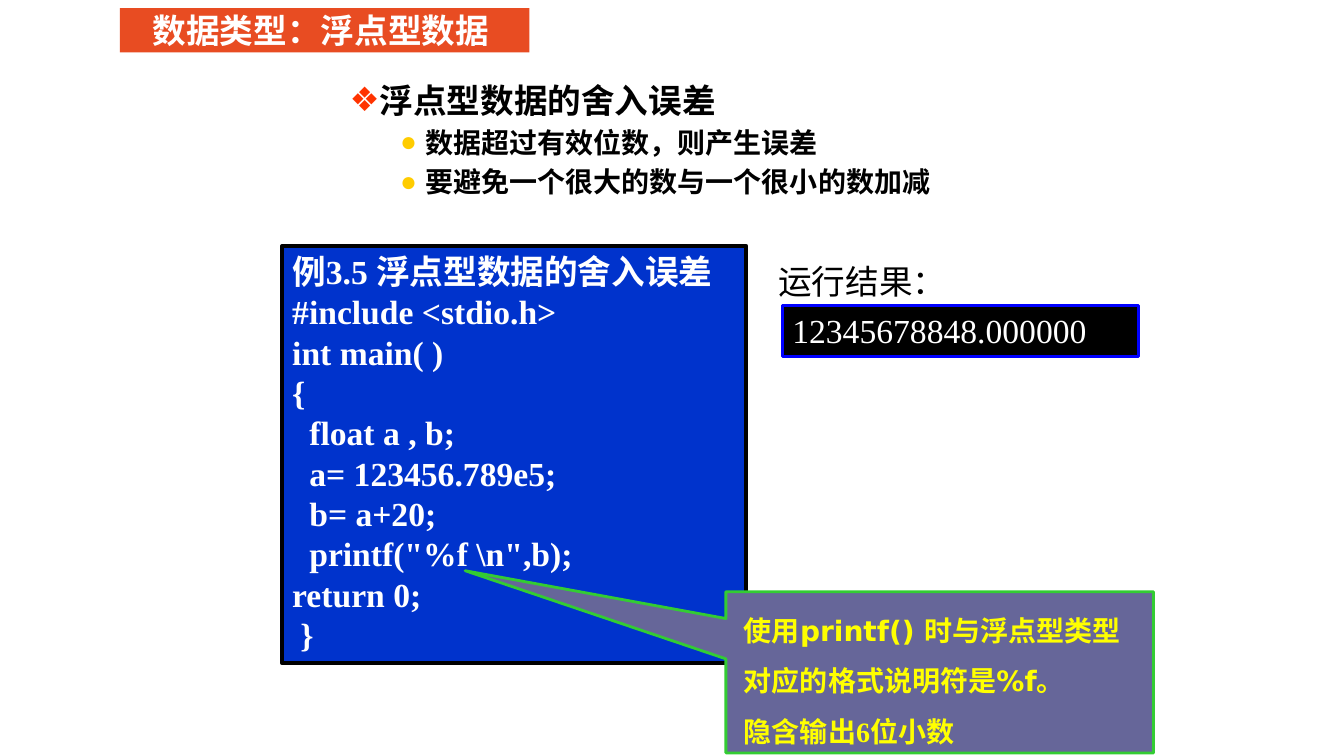
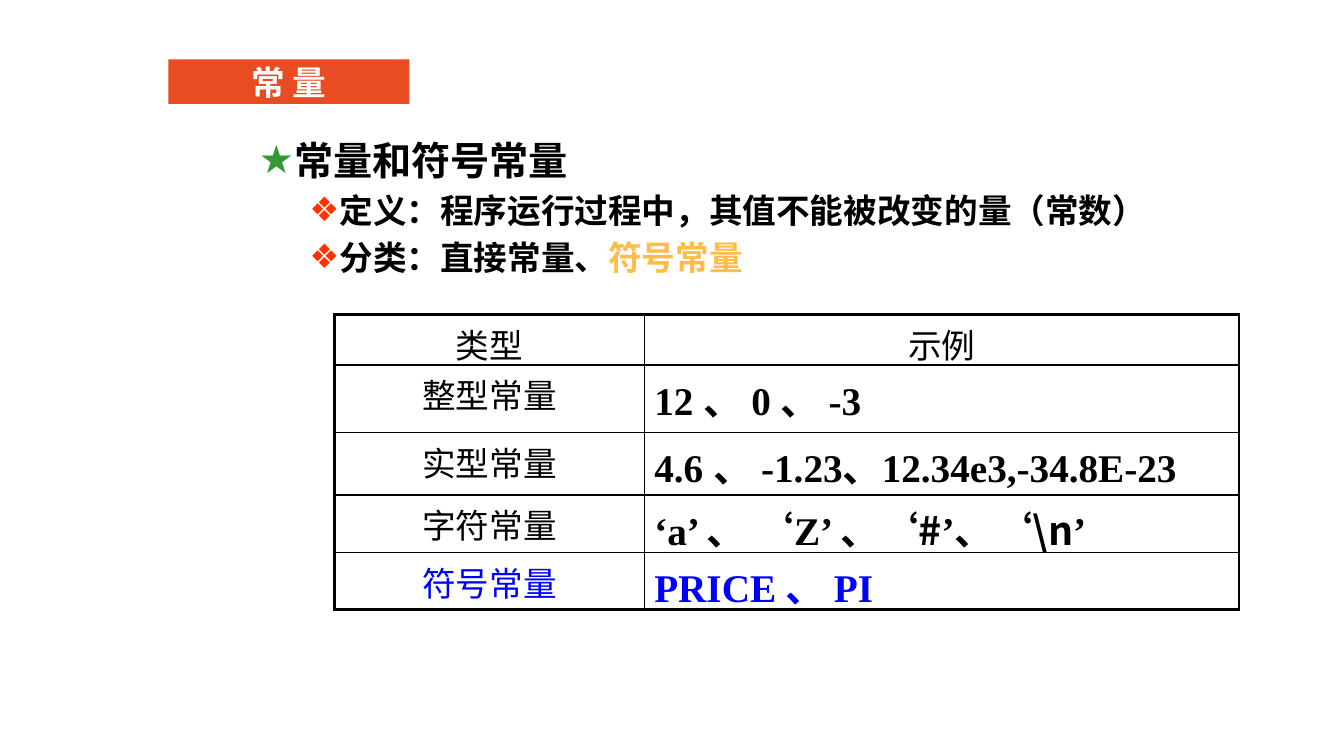
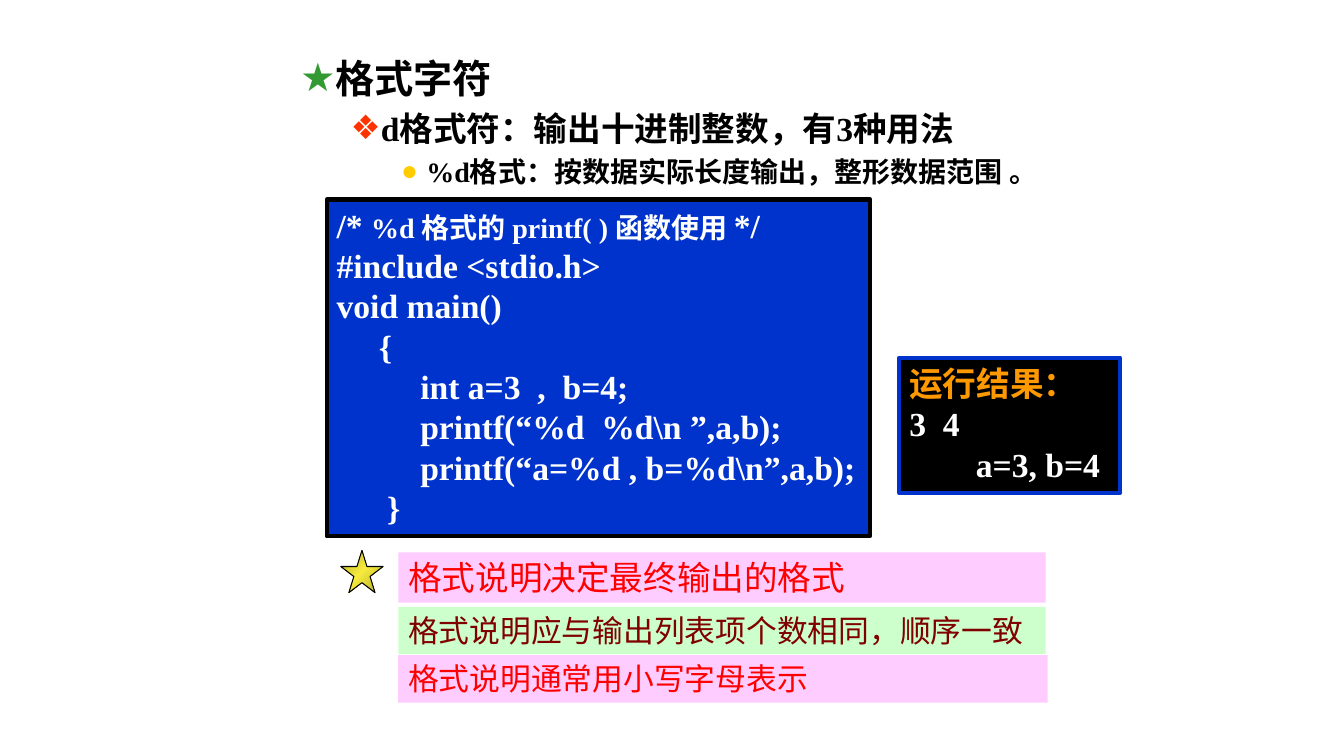
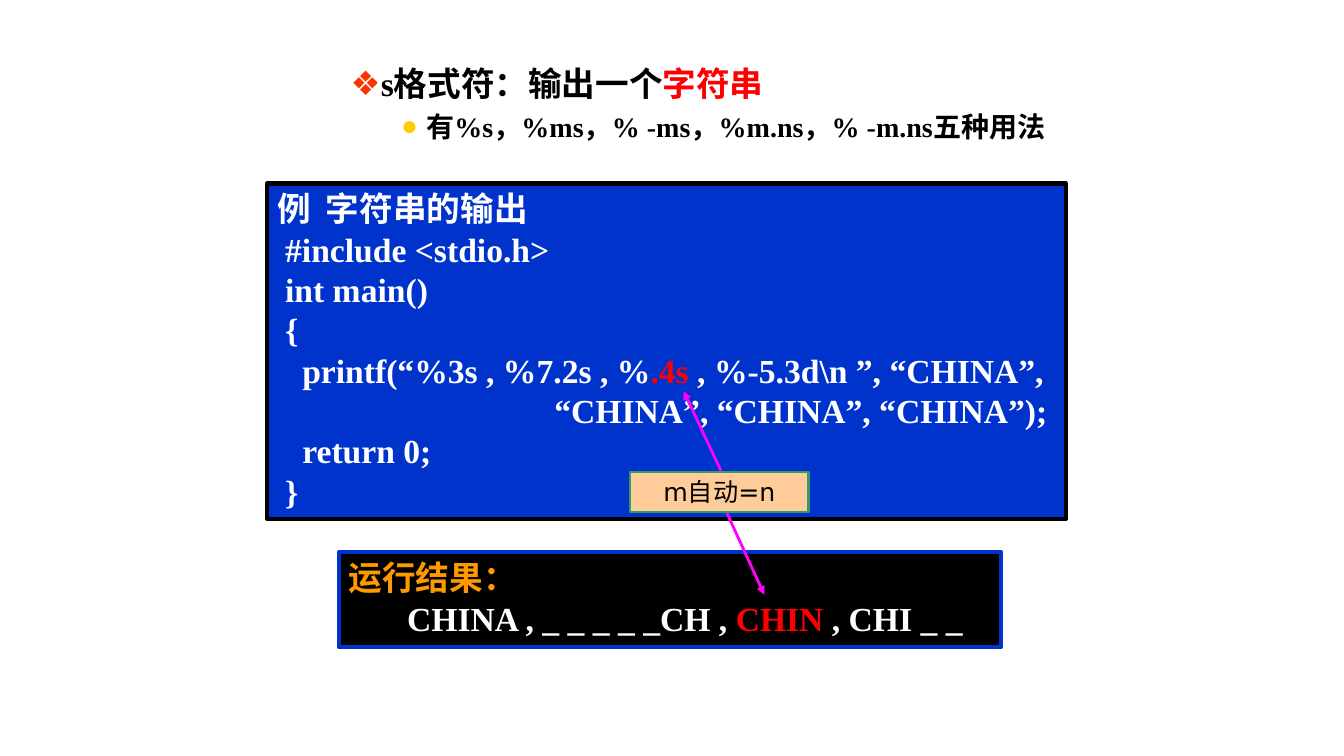
from dataclasses import dataclass, field
from lxml.etree import SubElement as Sub
from pptx import Presentation
from pptx.dml.color import RGBColor
from pptx.enum.shapes import MSO_CONNECTOR as Link, MSO_SHAPE as Kind
from pptx.enum.text import MSO_ANCHOR as Anchor, PP_ALIGN as Align
from pptx.oxml.ns import qn
from pptx.util import Pt

SCALE = 9144
SERIF, SANS, PLAIN, HAN = "Times New Roman", "DejaVu Sans", "Arial", "Noto Sans CJK SC"
BLACK, WHITE, RED, BLUE = "000000", "FFFFFF", "FF0000", "0033CC"
ORANGE, AMBER, PINK = "E84C22", "FF9900", "FFCCFF"
MARKS = {1: ("★", "339933", 81, 31, 28),
         2: ("❖", "FF3300", 125, 25, 24),
         3: ("●", "FFCC00", 175, 25, 20)}


def px(n):
    return int(n * SCALE)


def rgb(code):
    return RGBColor.from_string(code)


@dataclass
class Line:
    runs: object
    left: int = 0
    level: int = 0
    look: dict = field(default_factory=dict)


class Deck:
    """Holds the shared style and the current slide."""

    def __init__(self):
        self.show = Presentation()
        self.show.slide_width, self.show.slide_height = px(1333), px(750)
        self.slide = None

    def page(self, title=None, box=None):
        self.slide = self.show.slides.add_slide(self.show.slide_layouts[5 if title else 6])
        if title:
            head = self.slide.shapes.title
            self.place(head, box)
            head.fill.solid()
            head.fill.fore_color.rgb = rgb(ORANGE)
            self.put(head.text_frame, [title], 0, Anchor.MIDDLE, Align.CENTER,
                     font=HAN, color=WHITE, bold=True)

    def place(self, shape, box):
        shape.left, shape.top, shape.width, shape.height = map(px, box)

    def style(self, run, size=24, font=SERIF, color=BLACK, bold=False):
        run.font.size, run.font.name, run.font.bold = Pt(size), font, bold
        run.font.color.rgb = rgb(color)
        Sub(run.font._element, qn("a:ea"), typeface=HAN)

    def mark(self, para, level):
        sign, color, left, hang, size = MARKS[level]
        para.level = level
        para.space_before = Pt(size / 5)
        props = para._p.get_or_add_pPr()
        props.set("marL", str(px(left)))
        props.set("indent", str(-px(hang)))
        Sub(Sub(props, qn("a:buClr")), qn("a:srgbClr"), val=color)
        Sub(props, qn("a:buFont"), typeface=PLAIN)
        Sub(props, qn("a:buChar"), char=sign)
        return size

    def put(self, frame, lines, pad=1, anchor=Anchor.TOP, align=Align.LEFT,
            space=None, before=None, **look):
        frame.word_wrap, frame.vertical_anchor = True, anchor
        frame.margin_left = frame.margin_right = px(10 * pad)
        frame.margin_top = frame.margin_bottom = px(5 * pad)
        for i, line in enumerate(lines):
            line = line if isinstance(line, Line) else Line(line)
            para = frame.add_paragraph() if i else frame.paragraphs[0]
            para.alignment = align
            para.line_spacing, para.space_before = space, before
            base = {**look, **line.look}
            if line.left:
                para._p.get_or_add_pPr().set("marL", str(px(line.left)))
            if line.level:
                base["size"] = self.mark(para, line.level)
            runs = [(line.runs, {})] if isinstance(line.runs, str) else line.runs
            for text, extra in runs:
                run = para.add_run()
                run.text = text
                self.style(run, **{**base, **extra})

    def text(self, box, lines, **look):
        item = self.slide.shapes.add_textbox(*map(px, box))
        self.put(item.text_frame, lines, **look)

    def points(self, box, *lines):
        self.text(box, lines, bold=True)

    def shape(self, box, fill, lines=(), edge=None, width=3, kind=Kind.RECTANGLE, **look):
        item = self.slide.shapes.add_shape(kind, *map(px, box))
        item.shadow.inherit = False
        item.fill.solid()
        item.fill.fore_color.rgb = rgb(fill)
        if edge:
            item.line.color.rgb = rgb(edge)
            item.line.width = Pt(width)
        else:
            item.line.fill.background()
        self.put(item.text_frame, lines, **look)
        return item

    def code(self, box, *lines):
        self.shape(box, BLUE, lines, BLACK, color=WHITE, bold=True)

    def result(self, box, *lines):
        head = Line("运行结果：", look={"color": AMBER})
        self.shape(box, BLACK, [head, *lines], BLUE, color=WHITE, bold=True)

    def star(self, box, dark, light):
        item = self.shape(box, dark, edge=BLACK, width=0.75, kind=Kind.STAR_5_POINT)
        item.fill.gradient()
        item.fill.gradient_angle = 315
        stops = item._element.spPr.find(".//" + qn("a:gsLst"))
        stops.clear()
        for pos, color in ((0, dark), (50, light), (100, dark)):
            stop = Sub(stops, qn("a:gs"), pos=str(pos * 1000))
            Sub(stop, qn("a:srgbClr"), val=color)

    def arrow(self, start, end, color):
        item = self.slide.shapes.add_connector(Link.STRAIGHT, *map(px, start + end))
        item.line.color.rgb = rgb(color)
        item.line.width = Pt(2)
        props = item._element.spPr
        Sub(props.find(qn("a:ln")), qn("a:tailEnd"), type="triangle")
        Sub(props, qn("a:effectLst"))

    def border(self, cell, sides):
        props = cell._tc.get_or_add_tcPr()
        for i, (side, thick) in enumerate(sides.items()):
            edge = Sub(props, qn("a:ln" + side), w=str(Pt(2.25 if thick else 1)))
            Sub(Sub(edge, qn("a:solidFill")), qn("a:srgbClr"), val=BLACK)
            props.insert(i, edge)

    def table(self, box, cols, rows, data):
        grid = self.slide.shapes.add_table(len(rows), len(cols), *map(px, box)).table
        grid.first_row = grid.horz_banding = False
        for col, wide in zip(grid.columns, cols):
            col.width = px(wide)
        for r, (high, texts) in enumerate(zip(rows, data)):
            grid.rows[r].height = px(high)
            for c, text in enumerate(texts):
                cell = grid.cell(r, c)
                cell.fill.background()
                self.border(cell, {"L": c == 0, "R": c == len(cols) - 1,
                                   "T": r == 0, "B": r == len(rows) - 1})
                big = r > 0 and c > 0
                size = 28 if big else 24
                self.put(cell.text_frame, [text], before=Pt(size / 5), size=size, bold=big,
                         align=Align.LEFT if big else Align.CENTER,
                         color="0000FF" if r == len(rows) - 1 else BLACK)


def floats(deck):
    deck.page("数据类型：浮点型数据 ", (119, 8, 406, 44))
    deck.points((237, 74, 850, 128),
                Line("浮点型数据的舍入误差", level=2, look={"font": PLAIN}),
                Line("数据超过有效位数，则产生误差", level=3),
                Line("要避免一个很大的数与一个很小的数加减", level=3))
    deck.code((280, 244, 460, 414),
              [("例3.5 ", {}), ("浮点型数据的舍入误差", {"font": HAN})],
              "#include <stdio.h>", "int main( )", "{",
              Line("float a , b;", 17), Line("a= 123456.789e5;", 17),
              Line("b= a+20;", 17), Line("printf(\"%f \\n\",b);", 17),
              "return 0;", Line("}", 8))
    deck.shape((776, 303, 353, 51), BLACK, ["12345678848.000000"], "0000FF", 2.25, color=WHITE)
    deck.text((740, 254, 212, 50), [Line("运行结果：", 22)])
    note = deck.shape((720, 587, 424, 160), "666699", [
        Line("使用printf() 时与浮点型类型对应的格式说明符是%f。", 8),
        Line([("隐含输出", {"font": HAN}), ("6", {"font": SERIF}), ("位小数", {"font": HAN})], 8),
    ], "33CC33", 2, Kind.RECTANGULAR_CALLOUT, space=1.5,
        size=20, font=SANS, color="FFFF00", bold=True)
    note.adjustments[0], note.adjustments[1] = -1.11, -0.63


def consts(deck):
    deck.page("常 量", (167, 59, 239, 44))
    deck.points((197, 130, 952, 153),
                Line("常量和符号常量", level=1, look={"font": HAN}),
                Line("定义：程序运行过程中，其值不能被改变的量（常数）", level=2, look={"font": HAN}),
                Line([("分类：直接常量、", {}), ("符号常量", {"color": "FFBD47"})],
                     level=2, look={"font": HAN}))
    chars = [("‘a’ 、 ‘Z’ 、‘", {}), ("#", {"font": HAN}), ("’、‘", {}),
             ("\\n", {"font": HAN}), ("’", {})]
    deck.table((332, 312, 897, 293), (307, 590), (50, 67, 62, 57, 57), [
        ("类型", "示例"),
        ("整型常量", "12 、 0 、 -3"),
        ("实型常量", "4.6 、 -1.23、12.34e3,-34.8E-23"),
        ("字符常量", chars),
        ("符号常量", "PRICE 、 PI")])


def digits(deck):
    deck.page()
    deck.points((238, 49, 889, 143),
                Line("格式字符", level=1),
                Line("d格式符：输出十进制整数，有3种用法", level=2),
                Line("%d格式：按数据实际长度输出，整形数据范围 。", level=3))
    deck.code((324, 198, 539, 334),
              [("/* ", {}), ("%d 格式的 printf( ) 函数使用 ", {"size": 20}), ("*/", {})],
              "#include <stdio.h>", "void main()", Line("{", 42),
              Line("int a=3  ,  b=4;", 83), Line("printf(“%d  %d\\n ”,a,b);", 83),
              Line("printf(“a=%d , b=%d\\n”,a,b);", 83), Line("}", 50))
    deck.result((892, 355, 219, 134), "3  4", Line("a=3, b=4", 66))
    for box, fill, color, size, text in (
            ((395, 548, 642, 50), PINK, RED, 24, "格式说明决定最终输出的格式"),
            ((395, 602, 642, 47), "CCFFCC", "800000", 22, "格式说明应与输出列表项个数相同，顺序一致"),
            ((395, 650, 644, 47), PINK, RED, 22, "格式说明通常用小写字母表示")):
        deck.shape(box, fill, [text], size=size, color=color, font=HAN)
    deck.star((338, 546, 42, 42), "B1A82C", "F8EB3E")


def strings(deck):
    deck.page()
    deck.points((238, 58, 849, 93),
                Line([("s格式符：输出一个", {}), ("字符串", {"color": RED})], level=2),
                Line("有%s，%ms，% -ms，%m.ns，% -m.ns五种用法", level=3))
    deck.code((265, 182, 792, 333),
              "例  字符串的输出", Line("#include <stdio.h>", 8), Line("int main()", 8), Line("{", 8),
              Line([("printf(“%3s , %7.2s , %", {}), (".4s", {"color": RED}),
                    (" , %-5.3d\\n ”, “CHINA”,", {})], 25),
              Line("“CHINA”, “CHINA”, “CHINA”);", 275), Line("return 0;", 25), Line("}", 8))
    deck.result((336, 548, 657, 94),
                Line([("CHINA , _ _ _ _ _CH , ", {}), ("CHIN", {"color": RED}),
                      (" , CHI _ _", {})], 58))
    deck.shape((625, 468, 177, 40), "FFCC99", ["m自动=n"], "339966", 1.5,
               size=18, font=SANS, align=Align.CENTER)
    deck.arrow((715, 467), (678, 388), "FF00FF")
    deck.arrow((721, 509), (758, 590), "FF00FF")


def main():
    deck = Deck()
    for build in (floats, consts, digits, strings):
        build(deck)
    deck.show.save("out.pptx")


if __name__ == "__main__":
    main()
